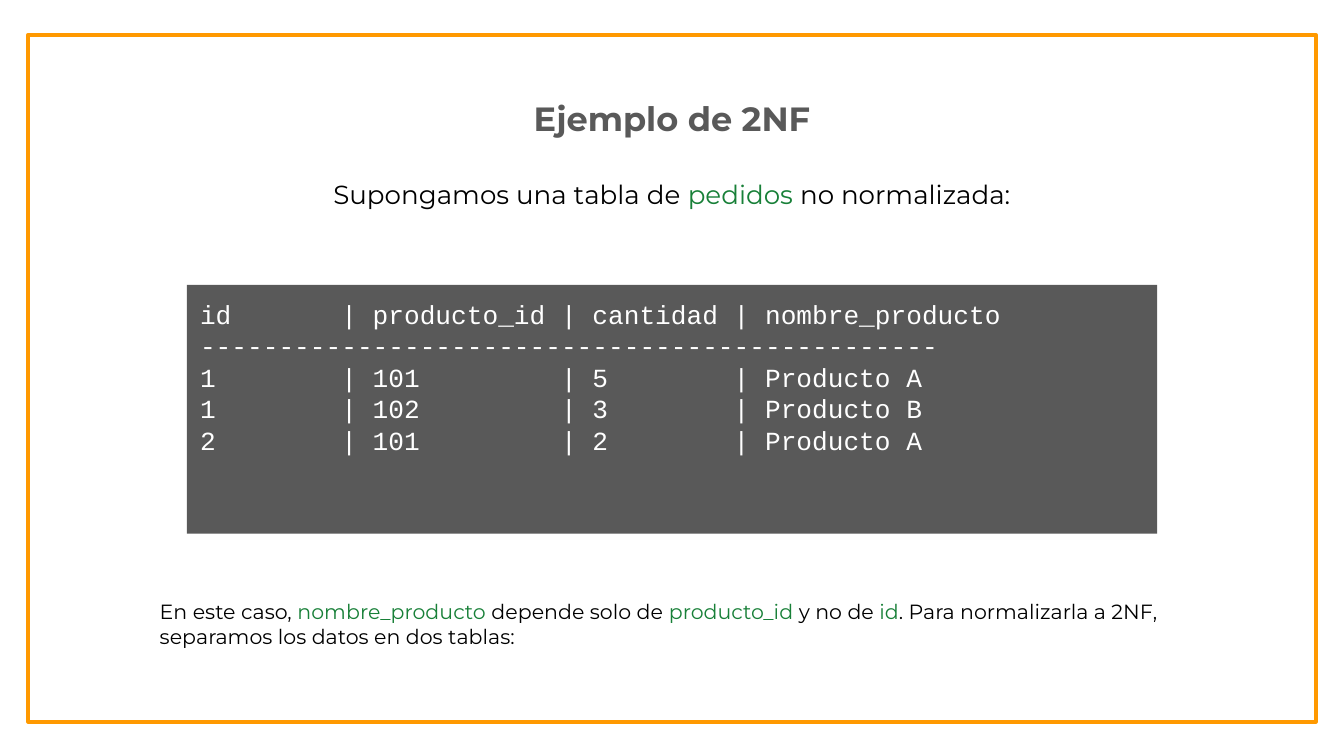
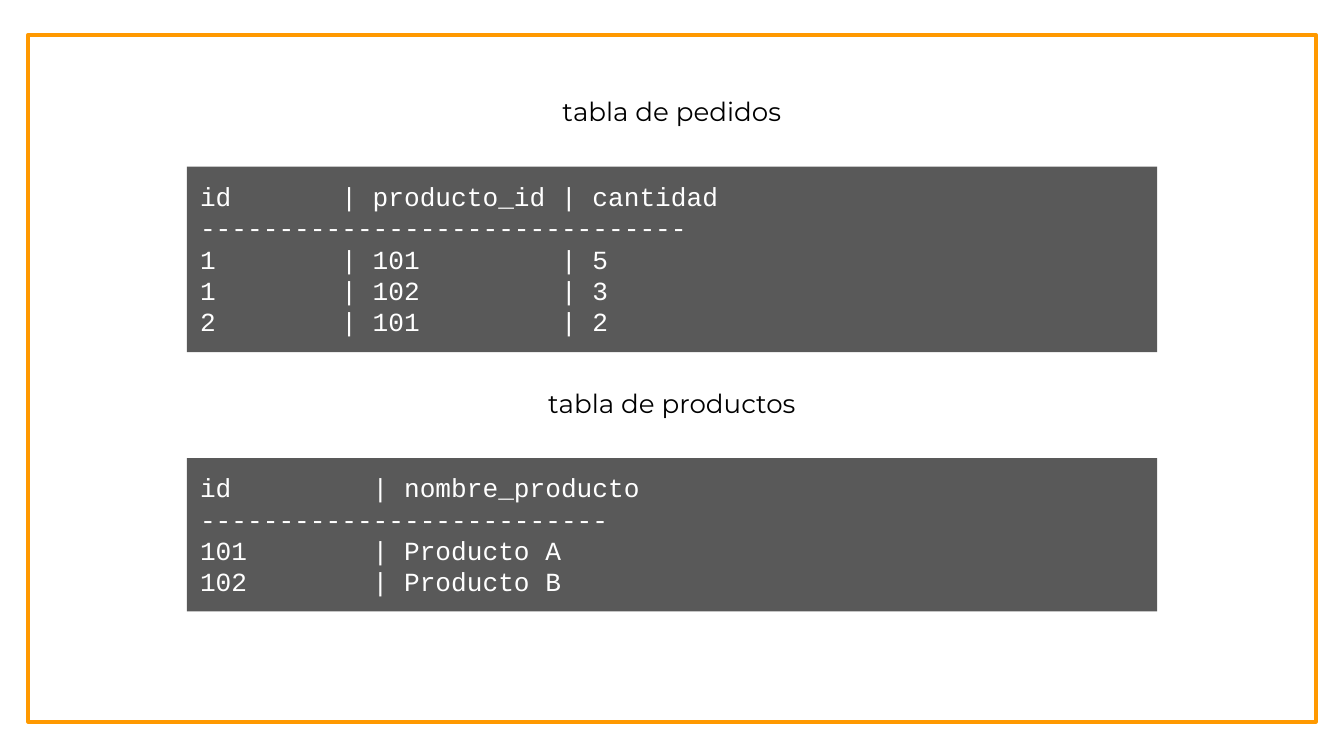
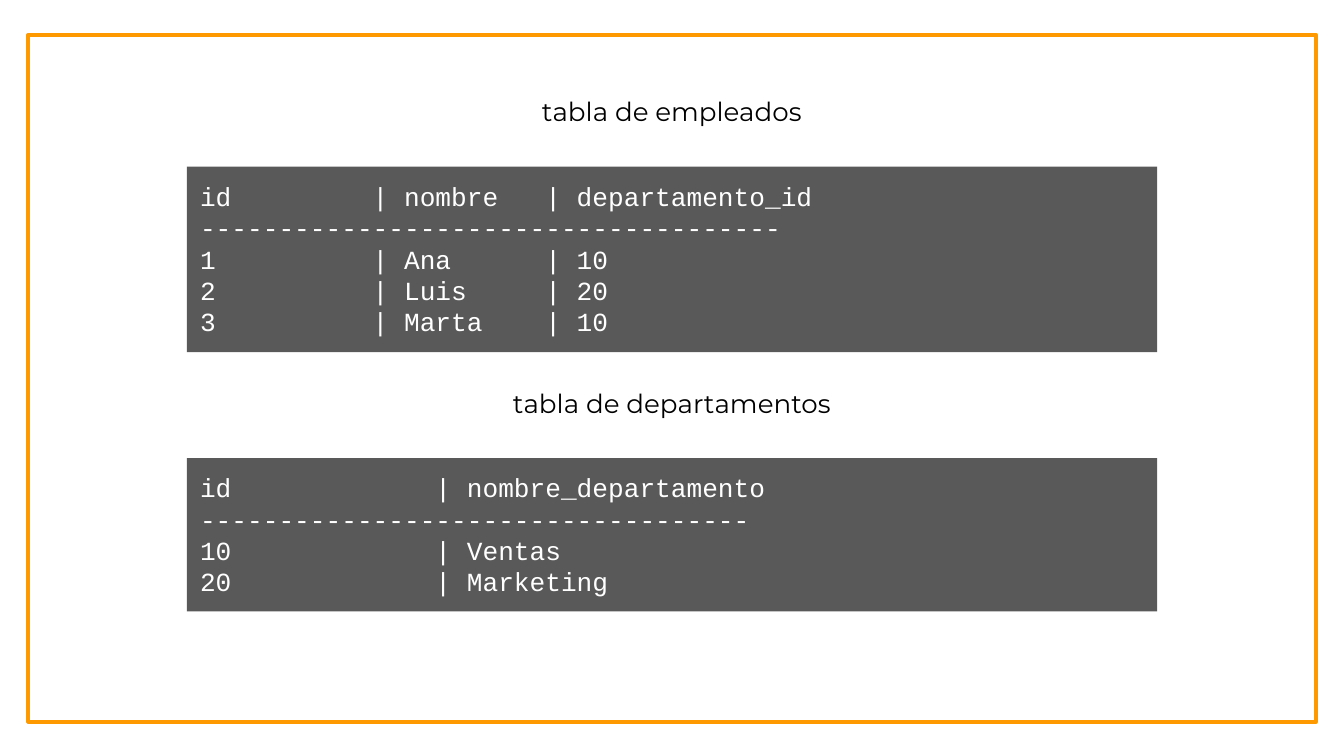
from dataclasses import dataclass

from pptx import Presentation
from pptx.dml.color import RGBColor
from pptx.enum.shapes import MSO_SHAPE
from pptx.enum.text import MSO_ANCHOR, MSO_AUTO_SIZE, PP_ALIGN
from pptx.util import Inches, Pt


@dataclass(frozen=True)
class Theme:
    frame: RGBColor = RGBColor(0xFF, 0x99, 0x00)
    dark: RGBColor = RGBColor(0x59, 0x59, 0x59)
    text: RGBColor = RGBColor(0x00, 0x00, 0x00)
    term: RGBColor = RGBColor(0x18, 0x80, 0x38)
    light: RGBColor = RGBColor(0xFF, 0xFF, 0xFF)
    body_font: str = "Montserrat"
    code_font: str = "Courier New"
    title_size: int = 18
    main_size: int = 14
    note_size: int = 11


THEME = Theme()
SLIDE_WIDTH = 10
SLIDE_HEIGHT = SLIDE_WIDTH * 9 / 16

# Content: a run is (text, is a highlighted term)
EXAMPLE = {
    "title": "Ejemplo de 2NF",
    "intro": [("Supongamos una tabla de ", False), ("pedidos", True),
              (" no normalizada:", False)],
    "note": [("En este caso, ", False), ("nombre_producto", True),
             (" depende solo de ", False), ("producto_id", True),
             (" y no de ", False), ("id", True),
             (". Para normalizarla a 2NF, separamos los datos en dos tablas:", False)],
    "table": {
        "widths": (8, 11, 8, 0), "dashes": 47,
        "rows": [("id", "producto_id", "cantidad", "nombre_producto"),
                 ("1", "101", "5", "Producto A"),
                 ("1", "102", "3", "Producto B"),
                 ("2", "101", "2", "Producto A")],
    },
}

TABLE_PAIRS = [
    [
        {"caption": "tabla de pedidos", "widths": (8, 11, 0), "dashes": 31,
         "rows": [("id", "producto_id", "cantidad"),
                  ("1", "101", "5"), ("1", "102", "3"), ("2", "101", "2")]},
        {"caption": "tabla de productos", "widths": (10, 0), "dashes": 26,
         "rows": [("id", "nombre_producto"),
                  ("101", "Producto A"), ("102", "Producto B")]},
    ],
    [
        {"caption": "tabla de empleados", "widths": (10, 8, 0), "dashes": 37,
         "rows": [("id", "nombre", "departamento_id"),
                  ("1", "Ana", "10"), ("2", "Luis", "20"), ("3", "Marta", "10")]},
        {"caption": "tabla de departamentos", "widths": (14, 0), "dashes": 35,
         "rows": [("id", "nombre_departamento"),
                  ("10", "Ventas"), ("20", "Marketing")]},
    ],
]

# Places of the captions (top, width) and code panels (top, height)
CAPTION_PLACES = [(0.61, 3.5), (2.78, 3.15)]
PANEL_PLACES = [(1.24, 1.38), (3.41, 1.14)]
PANEL_WIDTH = 7.22


# Shared parts
def centered(top, width, height):
    left = (SLIDE_WIDTH - width) / 2
    return [Inches(length) for length in (left, top, width, height)]


def prepare_text(shape):
    frame = shape.text_frame
    frame.word_wrap = True
    frame.auto_size = MSO_AUTO_SIZE.NONE
    frame.vertical_anchor = MSO_ANCHOR.TOP
    frame.margin_left = frame.margin_right = Inches(0.1)
    frame.margin_top = frame.margin_bottom = Inches(0.1)
    return frame


def add_run(paragraph, text, size, color, font=THEME.body_font, bold=False):
    run = paragraph.add_run()
    run.text = text
    run.font.name = font
    run.font.size = Pt(size)
    run.font.color.rgb = color
    run.font.bold = bold


def add_rectangle(slide, place):
    shape = slide.shapes.add_shape(MSO_SHAPE.RECTANGLE, *place)
    shape.shadow.inherit = False
    return shape


def new_slide(presentation):
    slide = presentation.slides.add_slide(presentation.slide_layouts[5])
    border = add_rectangle(slide, centered(0.26, 9.58, 5.11))
    border.fill.background()
    border.line.color.rgb = THEME.frame
    border.line.width = Pt(2.25)
    return slide


def set_title(slide, place, text, size, color, bold=False):
    title = slide.shapes.title
    title.left, title.top, title.width, title.height = place
    paragraph = prepare_text(title).paragraphs[0]
    paragraph.alignment = PP_ALIGN.CENTER
    add_run(paragraph, text, size, color, bold=bold)


def add_text(slide, place, runs, size, alignment):
    box = slide.shapes.add_textbox(*place)
    paragraph = prepare_text(box).paragraphs[0]
    paragraph.alignment = alignment
    for text, is_term in runs:
        add_run(paragraph, text, size, THEME.term if is_term else THEME.text)


def code_lines(table):
    lines = [" | ".join(cell.ljust(width) for cell, width in zip(row, table["widths"]))
             for row in table["rows"]]
    return [lines[0], "-" * table["dashes"], *lines[1:]]


def add_code_panel(slide, top, height, table):
    panel = add_rectangle(slide, centered(top, PANEL_WIDTH, height))
    panel.fill.solid()
    panel.fill.fore_color.rgb = THEME.dark
    panel.line.fill.background()
    frame = prepare_text(panel)
    for index, line in enumerate(code_lines(table)):
        paragraph = frame.add_paragraph() if index else frame.paragraphs[0]
        paragraph.alignment = PP_ALIGN.LEFT
        add_run(paragraph, line, THEME.main_size, THEME.light, THEME.code_font)


# Slides
def build_example(presentation):
    slide = new_slide(presentation)
    set_title(slide, centered(0.63, 6.63, 0.5), EXAMPLE["title"],
              THEME.title_size, THEME.dark, bold=True)
    add_text(slide, centered(1.23, 7.98, 0.44), EXAMPLE["intro"],
             THEME.main_size, PP_ALIGN.CENTER)
    add_code_panel(slide, 2.12, 1.85, EXAMPLE["table"])
    add_text(slide, centered(4.36, 7.82, 0.57), EXAMPLE["note"],
             THEME.note_size, PP_ALIGN.LEFT)


def build_table_pair(presentation, tables):
    slide = new_slide(presentation)
    first_place, second_place = [centered(top, width, 0.44) for top, width in CAPTION_PLACES]
    first, second = tables
    set_title(slide, first_place, first["caption"], THEME.main_size, THEME.text)
    add_text(slide, second_place, [(second["caption"], False)],
             THEME.main_size, PP_ALIGN.CENTER)
    for table, (top, height) in zip(tables, PANEL_PLACES):
        add_code_panel(slide, top, height, table)


def main():
    presentation = Presentation()
    presentation.slide_width = Inches(SLIDE_WIDTH)
    presentation.slide_height = Inches(SLIDE_HEIGHT)
    build_example(presentation)
    for tables in TABLE_PAIRS:
        build_table_pair(presentation, tables)
    presentation.save("out.pptx")


if __name__ == "__main__":
    main()
